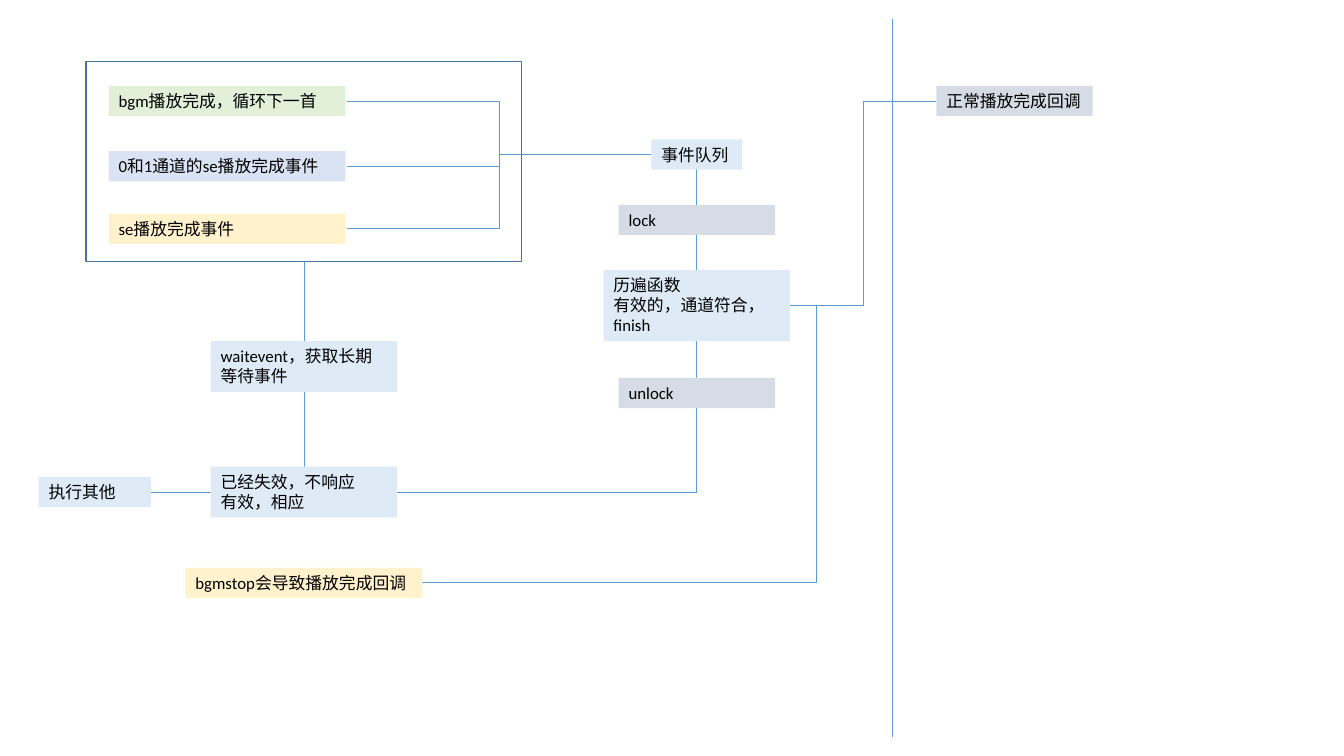
"""Flow of playback events through the wait loop and the event queue."""
from pptx import Presentation
from pptx.dml.color import RGBColor
from pptx.enum.shapes import MSO_CONNECTOR as CONN, MSO_SHAPE as SHAPE
from pptx.enum.text import MSO_ANCHOR, PP_ALIGN
from pptx.oxml.ns import qn
from pptx.util import Pt
from lxml import etree

COLORS = {
    "text": "000000", "line": "5B9BD5", "frame": "43739E", "green": "E2F0D9",
    "blue": "DAE3F3", "yellow": "FFF2CC", "pale": "DEEBF7", "gray": "D6DCE5",
}


class Flow:
    """Style and current slide, with one method per kind of element."""

    def __init__(self, slide, font="Calibri", size=12):
        self.shapes, self.font, self.size = slide.shapes, font, size

    def color(self, name):
        return RGBColor.from_string(COLORS[name])

    def rect(self, x, y, w, h):
        sp = self.shapes.add_shape(SHAPE.RECTANGLE, Pt(x), Pt(y), Pt(w), Pt(h))
        sp.shadow.inherit = False
        return sp

    def frame(self, x, y, w, h):
        sp = self.rect(x, y, w, h)
        sp.fill.background()
        sp.line.color.rgb = self.color("frame")
        sp.line.width = Pt(1)

    def box(self, x, y, w, h, fill, *lines, right=7.2):
        sp = self.rect(x, y, w, h)
        sp.fill.solid()
        sp.fill.fore_color.rgb = self.color(fill)
        sp.line.fill.background()
        tf = sp.text_frame
        tf.word_wrap = True
        tf.margin_right = Pt(right)
        tf.vertical_anchor = MSO_ANCHOR.TOP
        for i, line in enumerate(lines):
            p = tf.add_paragraph() if i else tf.paragraphs[0]
            p.alignment = PP_ALIGN.LEFT
            r = p.add_run()
            r.text = line
            r.font.name, r.font.size = self.font, Pt(self.size)
            r.font.color.rgb = self.color("text")

    def line(self, x1, y1, x2, y2, kind=CONN.STRAIGHT):
        cx = self.shapes.add_connector(kind, Pt(x1), Pt(y1), Pt(x2), Pt(y2))
        cx.line.color.rgb = self.color("line")
        cx.line.width = Pt(0.5)
        etree.SubElement(cx._element.spPr, qn("a:effectLst"))
        return cx._element.spPr.find(qn("a:prstGeom"))

    def elbow(self, x1, y1, x2, y2, bend=0.5):
        geom = self.line(x1, y1, x2, y2, CONN.ELBOW)
        av = geom.find(qn("a:avLst"))
        etree.SubElement(av, qn("a:gd"), name="adj1", fmla=f"val {round(bend * 100000)}")

    def corner(self, x1, y1, x2, y2):
        self.line(x1, y1, x2, y2, CONN.ELBOW).set("prst", "bentConnector2")


prs = Presentation()
prs.slide_width, prs.slide_height = Pt(960), Pt(540)
flow = Flow(prs.slides.add_slide(prs.slide_layouts[6]))

ROW, WIDE, MID, SMALL = 21.6, 169.2, 133.2, 111.6
WAIT_X, QUEUE_X = 217.1, 497.7
EVENTS = [
    (61.3, "green", "bgm播放完成，循环下一首"),
    (108, "blue", "0和1通道的se播放完成事件"),
    (152.6, "yellow", "se播放完成事件"),
]

flow.frame(61.4, 44.1, 311, 142.5)
flow.line(637.2, 13.7, 637.2, 526.3)
for y, fill, text in EVENTS:
    flow.elbow(247.7, y + ROW / 2, 465.6, 110.4)
for x, top, bottom in [(QUEUE_X, 121, 193), (WAIT_X, 186.6, 244), (WAIT_X, 280, 334)]:
    flow.line(x, top, x, bottom)
flow.corner(283.7, 351.4, QUEUE_X, 243.7)
flow.line(107.8, 351.4, 150.5, 351.4)
flow.elbow(564.5, 218.3, 668.9, 72.1)
flow.elbow(301.7, 416.2, 564.5, 218.3, 1.07)

for y, fill, text in EVENTS:
    flow.box(77.6, y, WIDE, ROW, fill, text, right=0)
flow.box(465.3, 99.6, 64.8, ROW, "pale", "事件队列")
for y, text in [(146.3, "lock"), (270, "unlock")]:
    flow.box(QUEUE_X - SMALL / 2, y, SMALL, ROW, "gray", text)
flow.box(QUEUE_X - MID / 2, 192.8, MID, 50.9, "pale", "历遍函数", "有效的，通道符合，finish")
flow.box(668.9, 61.3, SMALL, ROW, "gray", "正常播放完成回调")
flow.box(WAIT_X - MID / 2, 243.6, MID, 36.3, "pale", "waitevent，获取长期等待事件")
flow.box(WAIT_X - MID / 2, 333.3, MID, 36.3, "pale", "已经失效，不响应", "有效，相应")
flow.box(27.6, 340.6, 80.2, ROW, "pale", "执行其他")
flow.box(132.5, 405.6, WIDE, ROW, "yellow", "bgmstop会导致播放完成回调")

prs.save("out.pptx")
